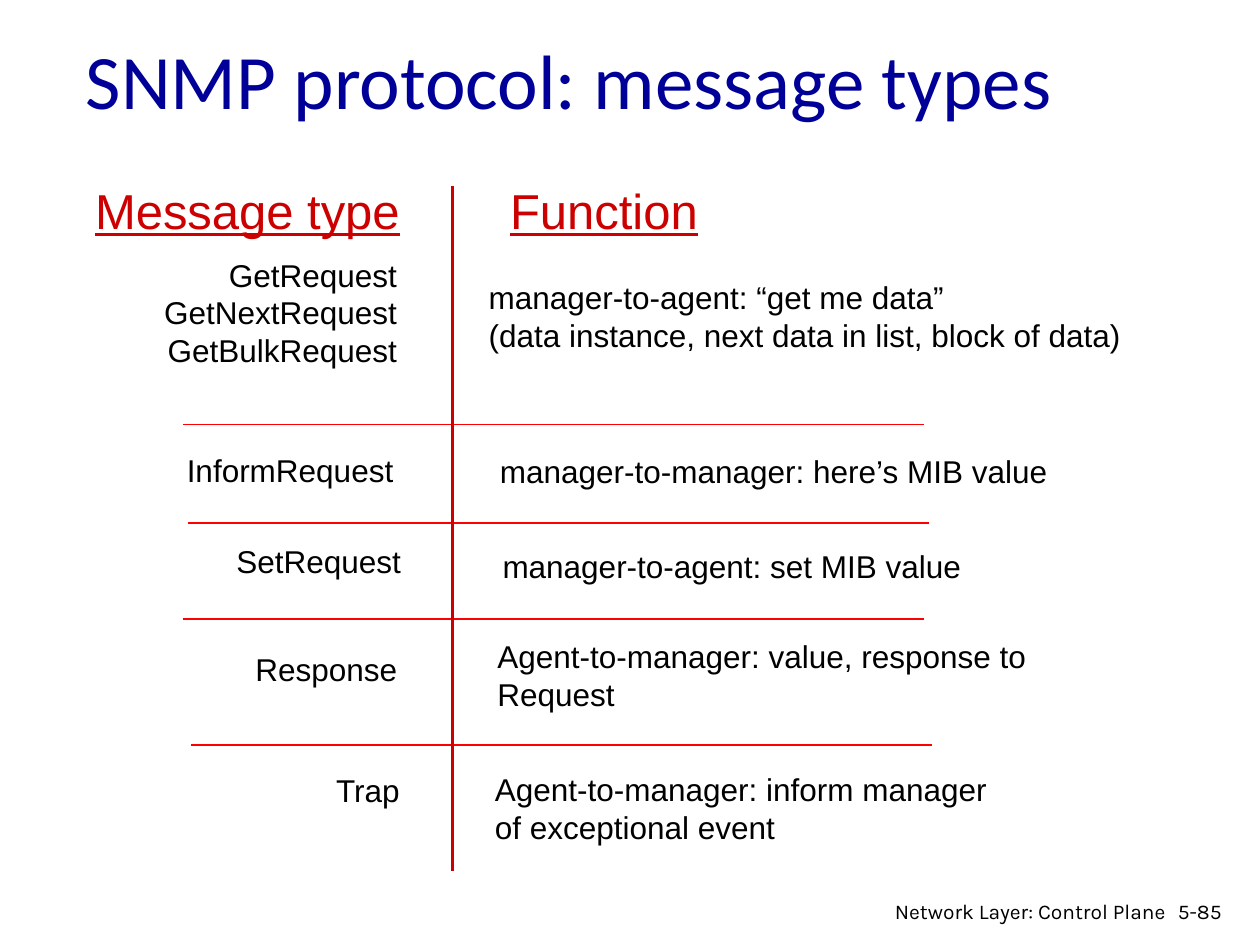
from dataclasses import dataclass

from lxml import etree
from pptx import Presentation
from pptx import util as u
from pptx.dml.color import RGBColor
from pptx.enum import shapes, text
from pptx.oxml import ns

HUES = {"title": "000099", "head": "CC0000", "rule": "FF0000", "body": "000000"}
CELL = u.Inches(0.1)  # the slide is a grid of 100 columns by 75 rows
LEFT, RIGHT = text.PP_ALIGN.LEFT, text.PP_ALIGN.RIGHT


@dataclass
class Label:
    words: str
    col: float
    row: float
    cols: float
    rows: float
    align: text.PP_ALIGN = LEFT
    size: int = 18
    face: str = "Arial"
    hue: str = "body"
    under: bool | None = None


@dataclass
class Rule:
    start: tuple[float, float]
    end: tuple[float, float]
    hue: str = "rule"
    width: float = 1


HEADS = [
    Label("Message type", 6.2, 13.8, 26.5, 5.7, RIGHT, 28, hue="head", under=True),
    Label("Function", 39.5, 13.8, 17.1, 5.7, size=28, hue="head", under=True),
]
TYPES = [
    Label("GetRequest\nGetNextRequest\nGetBulkRequest", 5.5, 19.8, 27, 13.1, RIGHT),
    Label("InformRequest", 4, 35.3, 28.2, 5, RIGHT),
    Label("SetRequest", 4.6, 42.5, 28.2, 5, RIGHT),
    Label("Response", 4.3, 51.1, 28.2, 5, RIGHT),
    Label("Trap", 4.5, 60.7, 28.2, 5, RIGHT),
]
TASKS = [
    Label("manager-to-agent: “get me data”\n"
          "(data instance, next data in list, block of data)", 37.8, 21.6, 52.7, 7.1),
    Label("manager-to-manager: here’s MIB value", 38.7, 35.4, 49.3, 4),
    Label("manager-to-agent: set MIB value", 38.9, 42.9, 46.7, 4),
    Label("Agent-to-manager: value, response to\nRequest", 38.5, 50.1, 46.3, 7.1),
    Label("Agent-to-manager: inform manager\nof exceptional event", 38.3, 60.6, 52.4, 7.1),
]
FOOT = [
    Label("5-85", 92.5, 70.8, 6, 3, size=12, face="Karla"),
    Label("Network Layer: Control Plane", 69.7, 70.8, 23.8, 2.6, RIGHT, 12, "Karla"),
]
SPAN = 58.8
STARTS = [(14.5, 33.7), (14.9, 41.5), (14.5, 49.1), (15.2, 59.1)]
RULES = [Rule((col, row), (col + SPAN, row)) for col, row in STARTS]
RULES.append(Rule((35.9, 14.8), (35.9, 69.1), "head", 2))


def grid(*units: float) -> list[int]:
    """Turn columns or rows into slide lengths."""
    return [round(n * CELL) for n in units]


def tint(hue: str) -> RGBColor:
    return RGBColor.from_string(HUES[hue])


def fill(shape, item: Label) -> None:
    """Place a text shape and set its words and fonts."""
    shape.left, shape.top, shape.width, shape.height = grid(
        item.col, item.row, item.cols, item.rows)
    frame = shape.text_frame
    frame.word_wrap = True
    frame.text = item.words
    for para in frame.paragraphs:
        para.alignment = item.align
        font = para.font
        font.size, font.name = u.Pt(item.size), item.face
        font.underline = item.under
        font.color.rgb = tint(item.hue)


def draw_label(slide, item: Label) -> None:
    fill(slide.shapes.add_textbox(0, 0, 0, 0), item)


def draw_rule(slide, rule: Rule) -> None:
    line = slide.shapes.add_connector(
        shapes.MSO_CONNECTOR.STRAIGHT, *grid(*rule.start, *rule.end))
    line.line.color.rgb = tint(rule.hue)
    line.line.width = u.Pt(rule.width)
    etree.SubElement(line._element.spPr, ns.qn("a:effectLst"))


def main() -> None:
    deck = Presentation()
    deck.slide_width, deck.slide_height = grid(100, 75)
    slide = deck.slides.add_slide(deck.slide_layouts[5])
    title = slide.shapes.title
    fill(title, Label("SNMP protocol: message types", 5.8, 0, 85, 12.5,
                      size=44, face="Calibri", hue="title"))
    title.text_frame.vertical_anchor = text.MSO_ANCHOR.MIDDLE
    for item in HEADS + TYPES + TASKS + FOOT:
        draw_label(slide, item)
    for rule in RULES:
        draw_rule(slide, rule)
    deck.save("out.pptx")


if __name__ == "__main__":
    main()
